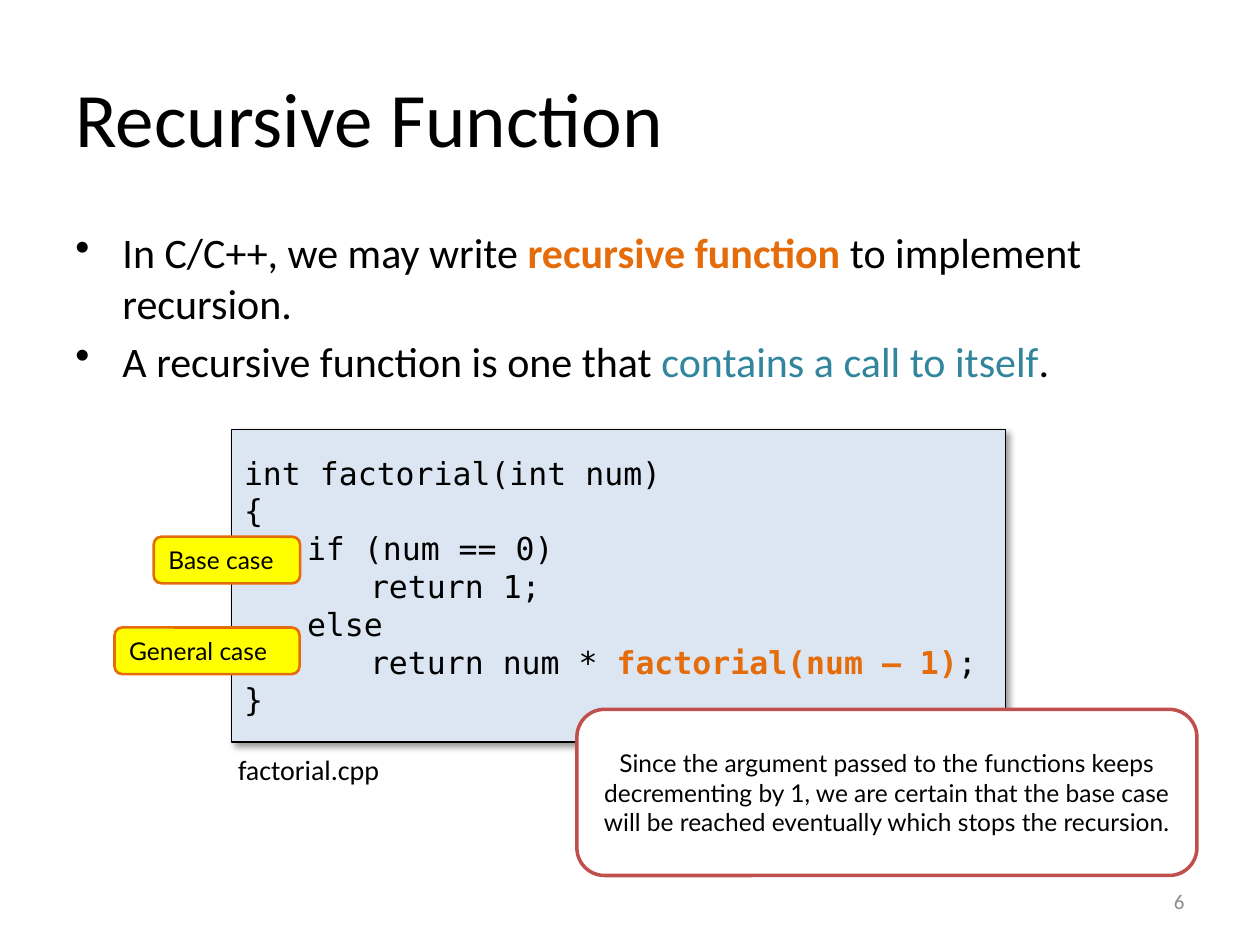
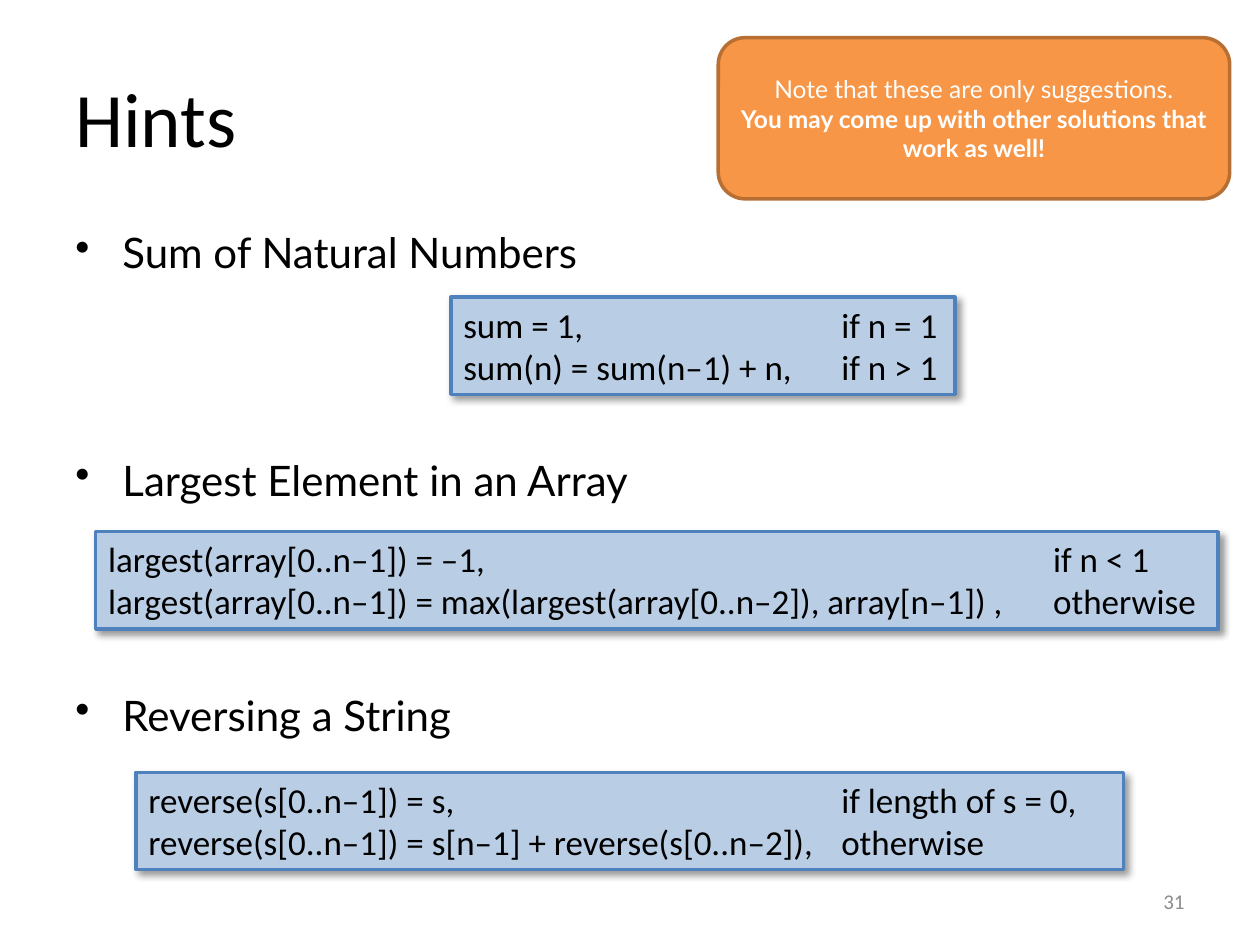
from lxml import etree
from pptx import Presentation
from pptx.dml.color import RGBColor
from pptx.enum.shapes import MSO_SHAPE
from pptx.enum.text import MSO_ANCHOR, PP_ALIGN
from pptx.oxml.ns import qn
from pptx.util import Cm, Pt

RECTANGLE, ROUNDED = MSO_SHAPE.RECTANGLE, MSO_SHAPE.ROUNDED_RECTANGLE
TOP, MIDDLE = MSO_ANCHOR.TOP, MSO_ANCHOR.MIDDLE
LEFT, CENTER, RIGHT = PP_ALIGN.LEFT, PP_ALIGN.CENTER, PP_ALIGN.RIGHT

# Shared look
SANS, MONO, NOTE = "Calibri", "DejaVu Sans Mono", "Lato"
BLACK, WHITE, GRAY = "000000", "FFFFFF", "8C8C8C"
ORANGE, TEAL, YELLOW = "E46C0A", "31859C", "FFFF00"
CODE_FILL, HINT_FILL, HINT_LINE = "DCE6F2", "B9CDE5", "4F81BD"
BULLET_INDENT = Cm(0.95)


def color(hex_value):
    return RGBColor.from_string(hex_value)


# Text: a line is a string or a list of (text, color, bold) parts
def write_lines(text_frame, lines, size, font=SANS, ink=BLACK, align=LEFT,
                anchor=TOP, wrap=True):
    text_frame.word_wrap = wrap
    text_frame.vertical_anchor = anchor
    for index, line in enumerate(lines):
        paragraph = text_frame.paragraphs[0] if index == 0 else text_frame.add_paragraph()
        paragraph.alignment = align
        parts = [(line, ink, False)] if isinstance(line, str) else line
        for text, part_color, bold in parts:
            run = paragraph.add_run()
            run.text = text
            run.font.name = font
            run.font.size = Pt(size)
            run.font.bold = bold
            run.font.color.rgb = color(part_color)


def add_text(slide, box, lines, size, **style):
    text_box = slide.shapes.add_textbox(*map(Cm, box))
    write_lines(text_box.text_frame, lines, size, **style)
    return text_box


def add_bullets(slide, lines, gaps, font=SANS):
    body = add_text(slide, (1.27, 4.45, 22.86, 12.57), lines, 24, font=font)
    for paragraph, gap in zip(body.text_frame.paragraphs, gaps):
        properties = paragraph._p.get_or_add_pPr()
        properties.set("marL", str(BULLET_INDENT))
        properties.set("indent", str(-BULLET_INDENT))
        bullet_color = etree.SubElement(properties, qn("a:buClr"))
        etree.SubElement(bullet_color, qn("a:srgbClr"), val=BLACK)
        etree.SubElement(properties, qn("a:buChar"), char="•")
        if gap:
            paragraph.space_before = Pt(gap)


def set_tabs(text_frame, stops):
    for paragraph in text_frame.paragraphs:
        tab_list = etree.SubElement(paragraph._p.get_or_add_pPr(), qn("a:tabLst"))
        for stop in stops:
            etree.SubElement(tab_list, qn("a:tab"), pos=str(Cm(stop)), algn="l")


# Boxes
def add_box(slide, kind, box, fill, line, width, lines, size, **style):
    shape = slide.shapes.add_shape(kind, *map(Cm, box))
    shape.shadow.inherit = False
    shape.fill.solid()
    shape.fill.fore_color.rgb = color(fill)
    shape.line.color.rgb = color(line)
    shape.line.width = Pt(width)
    write_lines(shape.text_frame, lines, size, **style)
    return shape


def add_shadow(shape):
    effects = shape._element.spPr.find(qn("a:effectLst"))
    shadow = etree.SubElement(effects, qn("a:outerShdw"), blurRad=str(Pt(4)),
                              dist=str(Pt(3)), dir="2700000", algn="tl",
                              rotWithShape="0")
    shade = etree.SubElement(shadow, qn("a:srgbClr"), val=BLACK)
    etree.SubElement(shade, qn("a:alpha"), val="40000")


def add_note(slide, box, fill, line, lines, ink):
    add_box(slide, ROUNDED, box, fill, line, 2, lines, 14, font=NOTE, ink=ink,
            align=CENTER, anchor=MIDDLE)


def add_label(slide, left, top, width, text):
    add_box(slide, ROUNDED, (left, top, width, 0.94), YELLOW, ORANGE, 1.5,
            [text], 14, font=NOTE)


def add_code(slide, box, lines):
    shape = add_box(slide, RECTANGLE, box, CODE_FILL, BLACK, 0.75, lines, 18,
                    font=MONO, anchor=MIDDLE)
    set_tabs(shape.text_frame, (1.27, 2.54))
    add_shadow(shape)


def add_hint(slide, left, top, width, tab, lines):
    shape = add_box(slide, RECTANGLE, (left, top, width, 1.96), HINT_FILL,
                    HINT_LINE, 2, lines, 20)
    set_tabs(shape.text_frame, (tab,))
    add_shadow(shape)


# Slides
def start_slide(presentation, title, number):
    slide = presentation.slides.add_slide(presentation.slide_layouts[6])
    add_text(slide, (1.27, 0.76, 22.86, 3.18), [title], 44, anchor=MIDDLE)
    add_text(slide, (18.21, 17.65, 5.92, 1.02), [str(number)], 12, ink=GRAY,
             align=RIGHT, anchor=MIDDLE)
    return slide


def build_recursive_function(presentation):
    slide = start_slide(presentation, "Recursive Function", 6)
    add_bullets(slide, [
        [("In C/C++, we may write ", BLACK, False),
         ("recursive function ", ORANGE, True),
         ("to implement recursion.", BLACK, False)],
        [("A recursive function is one that ", BLACK, False),
         ("contains a call to itself", TEAL, False),
         (".", BLACK, False)],
    ], gaps=(0, 4.5))
    add_code(slide, (4.67, 8.66, 15.6, 6.3), [
        "int factorial(int num)",
        "{",
        "\tif (num == 0)",
        "\t\treturn 1;",
        "\telse",
        [("\t\treturn num * ", BLACK, False),
         ("factorial(num – 1)", ORANGE, True),
         (";", BLACK, False)],
        "}",
    ])
    add_label(slide, 3.1, 10.82, 2.95, "Base case")
    add_label(slide, 2.31, 12.65, 3.73, "General case")
    add_note(slide, (11.63, 14.3, 12.5, 3.35), WHITE, "C0504D", [
        "Since the argument passed to the functions keeps decrementing by 1, "
        "we are certain that the base case will be reached eventually which "
        "stops the recursion."], BLACK)
    add_text(slide, (4.55, 15.04, 3.38, 0.94), ["factorial.cpp"], 16, wrap=False)


def build_hints(presentation):
    slide = start_slide(presentation, "Hints", 31)
    add_bullets(slide, ["Sum of Natural Numbers", "Largest Element in an Array",
                        "Reversing a String"], gaps=(0, 101, 105.5), font=NOTE)
    add_hint(slide, 9.09, 5.99, 10.16, 7.62, [
        "sum = 1,\tif n = 1",
        "sum(n) = sum(n–1) + n,\tif n > 1"])
    add_hint(slide, 1.93, 10.72, 22.63, 19.05, [
        "largest(array[0..n–1]) = –1,\tif n < 1",
        "largest(array[0..n–1]) = max(largest(array[0..n–2]), array[n–1]) ,\totherwise"])
    add_hint(slide, 2.74, 15.57, 19.91, 13.97, [
        "reverse(s[0..n–1]) = s,\tif length of s = 0,",
        "reverse(s[0..n–1]) = s[n–1] + reverse(s[0..n–2]),\totherwise"])
    add_note(slide, (14.48, 0.76, 10.31, 3.25), "F79646", "B76F34", [
        "Note that these are only suggestions.",
        [("You may come up with other solutions that work as well!", WHITE, True)],
    ], WHITE)


def main():
    presentation = Presentation()
    presentation.slide_width = Cm(25.4)
    presentation.slide_height = Cm(19.05)
    build_recursive_function(presentation)
    build_hints(presentation)
    presentation.save("out.pptx")


if __name__ == "__main__":
    main()
